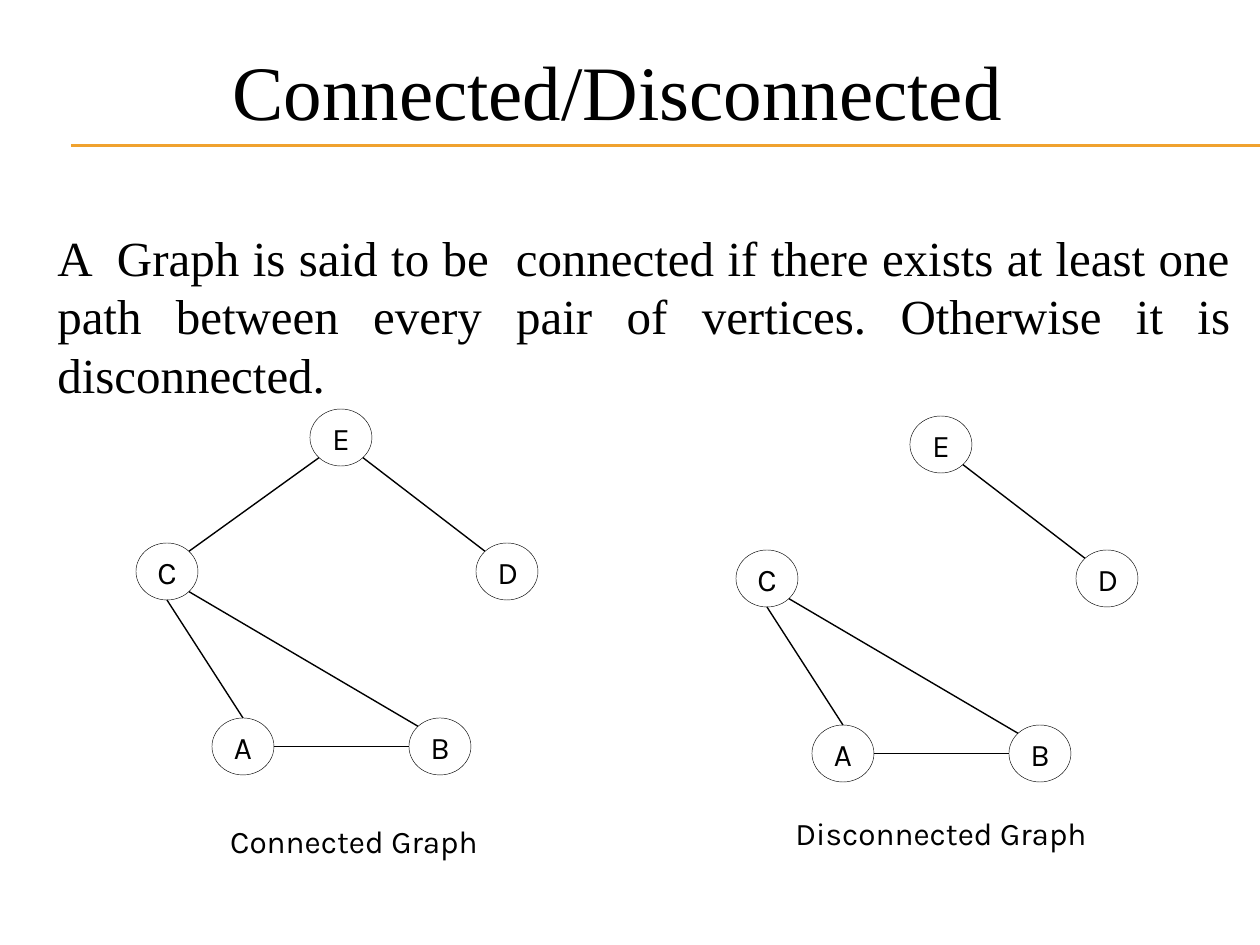
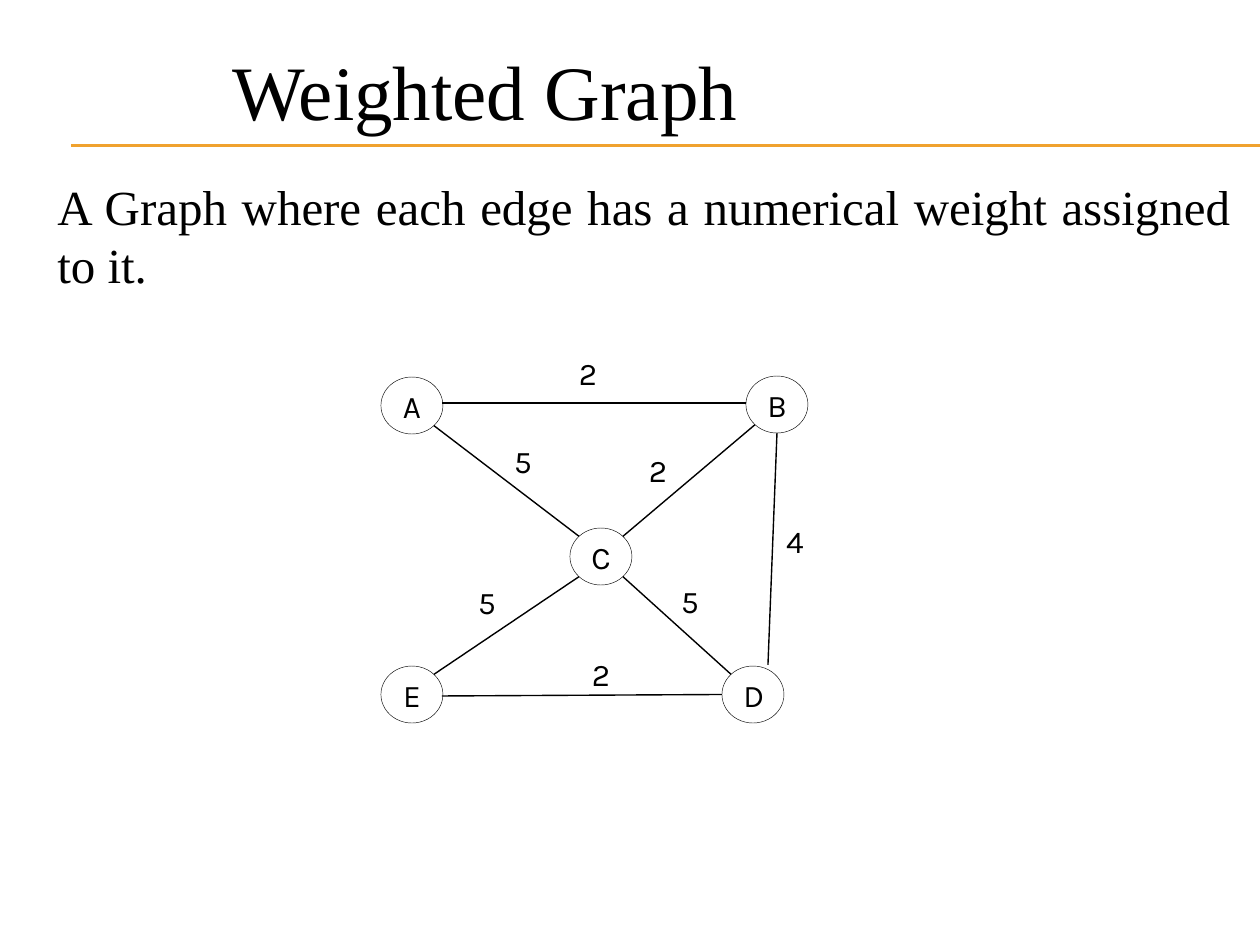
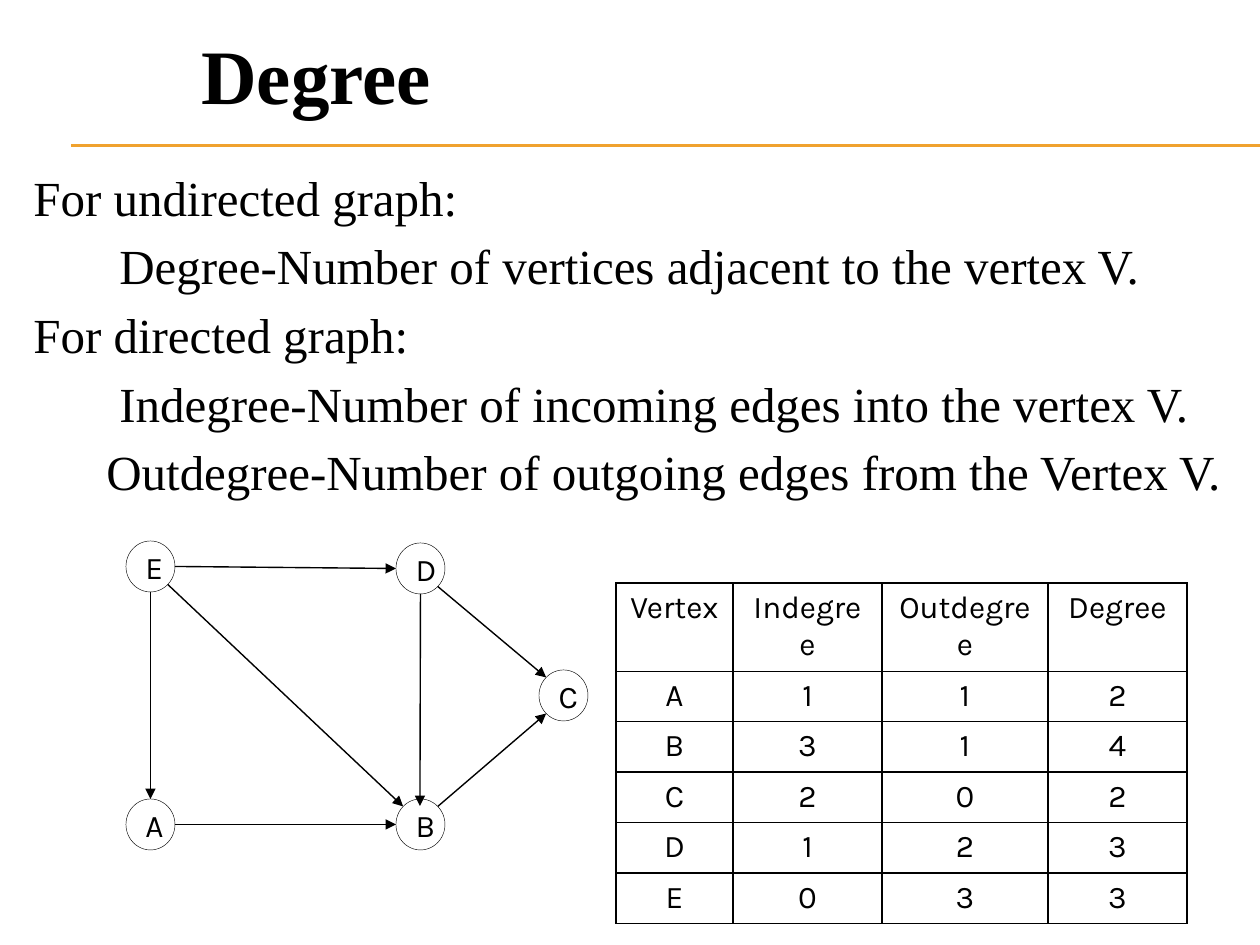
"""Build three slides on graph connectivity, edge weights and vertex degree."""
from lxml.etree import SubElement
from pptx import Presentation
from pptx.dml.color import RGBColor
from pptx.enum.shapes import MSO_CONNECTOR, MSO_SHAPE
from pptx.enum.text import MSO_ANCHOR, MSO_AUTO_SIZE, PP_ALIGN
from pptx.oxml.ns import qn
from pptx.util import Pt

EMU_PER_PX = 914400 / 126
COLORS = {"ink": "000000", "rule": "F0A22E"}
SERIF, SANS = "Times New Roman", "Karla"
DIAGONAL = 0.707
SITES = {
    "n": (0, -1), "s": (0, 1), "w": (-1, 0), "e": (1, 0),
    "nw": (-DIAGONAL, -DIAGONAL), "ne": (DIAGONAL, -DIAGONAL),
    "sw": (-DIAGONAL, DIAGONAL), "se": (DIAGONAL, DIAGONAL),
}

CONNECTED_VERTICES = {"E": (310, 409), "A": (212, 718), "C": (136, 543),
                      "D": (476, 543), "B": (409, 718)}
DISCONNECTED_SHIFT = (600, 7)
SHARED_EDGES = [("C.s", "A.n"), ("A.e", "B.w"), ("C.se", "B.nw"), ("E.se", "D.nw")]
BRIDGE = ("E.sw", "C.ne")

WEIGHTED_VERTICES = {"B": (746, 376), "E": (381, 666), "A": (381, 377),
                     "D": (722, 666), "C": (570, 528)}
WEIGHTED_EDGES = [((746, 403), (442, 403)), ("E.ne", "C.sw"), ("A.se", "C.nw"),
                  ("B.s", (768, 665)), ("C.ne", "B.sw"), ("D.w", (442, 696)),
                  ("C.se", "D.nw")]
WEIGHTS = [("2", 546, 347), ("2", 616, 444), ("5", 481, 435), ("4", 753, 515),
           ("5", 648, 575), ("5", 445, 576), ("2", 559, 648)]

DIRECTED_VERTICES = {"D": (396, 543), "A": (126, 799), "E": (126, 541),
                     "B": (396, 799), "C": (539, 670)}
DIRECTED_EDGES = [("E.s", "A.n"), ("A.e", "B.w"), ("E.e", "D.w"), ("D.s", (420, 806)),
                  ("D.se", "C.nw"), ("B.ne", "C.sw"), ("E.se", "B.nw")]
DEGREE_LINES = [
    ("For undirected graph:", 0),
    ("Degree-Number of vertices adjacent to the vertex V.", 86),
    ("For directed graph:", 0),
    ("Indegree-Number of incoming edges into the vertex V.", 86),
    ("Outdegree-Number of outgoing edges from the Vertex V.", 73),
]
DEGREE_ROWS = [
    ("Vertex", "Indegree", "Outdegree", "Degree"),
    ("A", "1", "1", "2"),
    ("B", "3", "1", "4"),
    ("C", "2", "0", "2"),
    ("D", "1", "2", "3"),
    ("E", "0", "3", "3"),
]
DEGREE_COLUMNS = (117, 149, 166, 139)
HEADER_HEIGHT, ROW_HEIGHT = 88, 50


def px(length):
    """Turn pixels into EMU."""
    return round(length * EMU_PER_PX)


def rgb(name):
    """Return a palette colour."""
    return RGBColor.from_string(COLORS[name])


def style(paragraph, size, face, align=None, bold=False):
    """Format a paragraph and its runs."""
    paragraph.alignment = align
    for run in paragraph.runs:
        run.font.size = Pt(size)
        run.font.name = face
        run.font.bold = bold
        run.font.color.rgb = rgb("ink")


def add_text_frame(slide, left, top, width, height):
    """Add a wrapping text box and return its text frame."""
    box = slide.shapes.add_textbox(px(left), px(top), px(width), px(height))
    box.text_frame.word_wrap = True
    return box.text_frame


def add_line(slide, start, end, color="ink", weight=0.79, arrow=False):
    """Draw a straight line, with an arrowhead at its end if asked."""
    line = slide.shapes.add_connector(
        MSO_CONNECTOR.STRAIGHT, *(px(value) for value in (*start, *end)))
    line.line.color.rgb = rgb(color)
    line.line.width = Pt(weight)
    properties = line.element.spPr
    if arrow:
        SubElement(properties.find(qn("a:ln")), qn("a:tailEnd"), type="triangle")
    SubElement(properties, qn("a:effectLst"))


def add_title(slide, text, left=220, top=37, bold=False):
    """Add the slide title over the double rule."""
    for rule_y in (145, 146):
        add_line(slide, (71, rule_y), (1260, rule_y), "rule", 0.75)
    frame = add_text_frame(slide, left, top, 1040, 106)
    frame.auto_size = MSO_AUTO_SIZE.SHAPE_TO_FIT_TEXT
    frame.text = text
    style(frame.paragraphs[0], 44, SERIF, bold=bold)


def add_definition(slide, text, inset_top=6):
    """Add a justified definition below the title."""
    frame = add_text_frame(slide, 45, 170, 1198, 735)
    frame.margin_top = px(inset_top)
    frame.text = text
    style(frame.paragraphs[0], 28, SERIF, PP_ALIGN.JUSTIFY)


def add_degree_lines(slide):
    """Add the degree definitions, each with its own indent."""
    frame = add_text_frame(slide, 21, 161, 1239, 784)
    frame.text = "\n".join(text for text, _ in DEGREE_LINES)
    for paragraph, (_, indent) in zip(frame.paragraphs, DEGREE_LINES):
        paragraph.space_before = Pt(5.6)
        style(paragraph, 28, SERIF)
        paragraph._p.get_or_add_pPr().set("marL", str(px(indent)))


def add_label(slide, text, left, top, width, height):
    """Add a centred caption or edge weight."""
    frame = add_text_frame(slide, left, top, width, height)
    frame.vertical_anchor = MSO_ANCHOR.MIDDLE
    frame.text = text
    style(frame.paragraphs[0], 18, SANS, PP_ALIGN.CENTER)


def add_vertex(slide, letter, left, top, size):
    """Draw one lettered vertex."""
    vertex = slide.shapes.add_shape(
        MSO_SHAPE.OVAL, *(px(value) for value in (left, top, *size)))
    vertex.shadow.inherit = False
    vertex.fill.background()
    vertex.line.color.rgb = rgb("ink")
    vertex.line.width = Pt(0.25)
    vertex.text_frame.vertical_anchor = MSO_ANCHOR.MIDDLE
    vertex.text_frame.text = letter
    style(vertex.text_frame.paragraphs[0], 18, SANS, PP_ALIGN.CENTER)


def locate(end, vertices, size):
    """Return the point of an edge end given as a point or as vertex.site."""
    if isinstance(end, tuple):
        return end
    letter, site = end.split(".")
    return tuple(corner + extent / 2 * (1 + direction) for corner, extent, direction
                 in zip(vertices[letter], size, SITES[site]))


def add_graph(slide, vertices, edges, size=(62, 57), arrow=False):
    """Draw the vertices of a graph and the edges between them."""
    for letter, (left, top) in vertices.items():
        add_vertex(slide, letter, left, top, size)
    for start, end in edges:
        add_line(slide, locate(start, vertices, size), locate(end, vertices, size),
                 arrow=arrow)


def add_cell(cell, text):
    """Fill in one bordered table cell."""
    cell.text = text
    style(cell.text_frame.paragraphs[0], 18, SANS, PP_ALIGN.CENTER)
    properties = cell._tc.get_or_add_tcPr()
    for side in ("lnL", "lnR", "lnT", "lnB"):
        border = SubElement(properties, qn(f"a:{side}"), w=str(Pt(1)))
        fill = SubElement(border, qn("a:solidFill"))
        SubElement(fill, qn("a:srgbClr"), val=COLORS["ink"])
    cell.fill.background()


def add_degree_table(slide):
    """Add the table of degrees by vertex."""
    heights = [HEADER_HEIGHT] + [ROW_HEIGHT] * (len(DEGREE_ROWS) - 1)
    degrees = slide.shapes.add_table(
        len(DEGREE_ROWS), len(DEGREE_COLUMNS), px(616), px(583),
        px(sum(DEGREE_COLUMNS)), px(sum(heights))).table
    degrees.first_row = degrees.horz_banding = False
    for column, width in zip(degrees.columns, DEGREE_COLUMNS):
        column.width = px(width)
    for row, height, texts in zip(degrees.rows, heights, DEGREE_ROWS):
        row.height = px(height)
        for cell, text in zip(row.cells, texts):
            add_cell(cell, text)


def build_connected(slide):
    """Build the slide on connected and disconnected graphs."""
    add_title(slide, "Connected/Disconnected")
    add_definition(slide, "A  Graph is said to be  connected if there exists at least one "
                   "path between every pair of vertices. Otherwise it is disconnected.", 57)
    add_graph(slide, CONNECTED_VERTICES, [BRIDGE, *SHARED_EDGES])
    add_label(slide, "Connected Graph", 168, 809, 372, 64)
    shift_x, shift_y = DISCONNECTED_SHIFT
    shifted = {letter: (left + shift_x, top + shift_y)
               for letter, (left, top) in CONNECTED_VERTICES.items()}
    add_graph(slide, shifted, SHARED_EDGES)
    add_label(slide, "Disconnected Graph", 755, 801, 372, 64)


def build_weighted(slide):
    """Build the slide on weighted graphs."""
    add_title(slide, "Weighted Graph")
    add_definition(slide, "A Graph where each edge has a numerical weight assigned to it.")
    add_graph(slide, WEIGHTED_VERTICES, WEIGHTED_EDGES)
    for weight, left, top in WEIGHTS:
        add_label(slide, weight, left, top, 84, 52)


def build_degree(slide):
    """Build the slide on vertex degree."""
    add_degree_lines(slide)
    add_title(slide, "Degree", 189, 21, bold=True)
    add_graph(slide, DIRECTED_VERTICES, DIRECTED_EDGES, (49, 51), arrow=True)
    add_degree_table(slide)


def main():
    """Build and save the presentation."""
    deck = Presentation()
    deck.slide_width, deck.slide_height = px(1260), px(945)
    for build in (build_connected, build_weighted, build_degree):
        build(deck.slides.add_slide(deck.slide_layouts[6]))
    deck.save("out.pptx")


if __name__ == "__main__":
    main()
